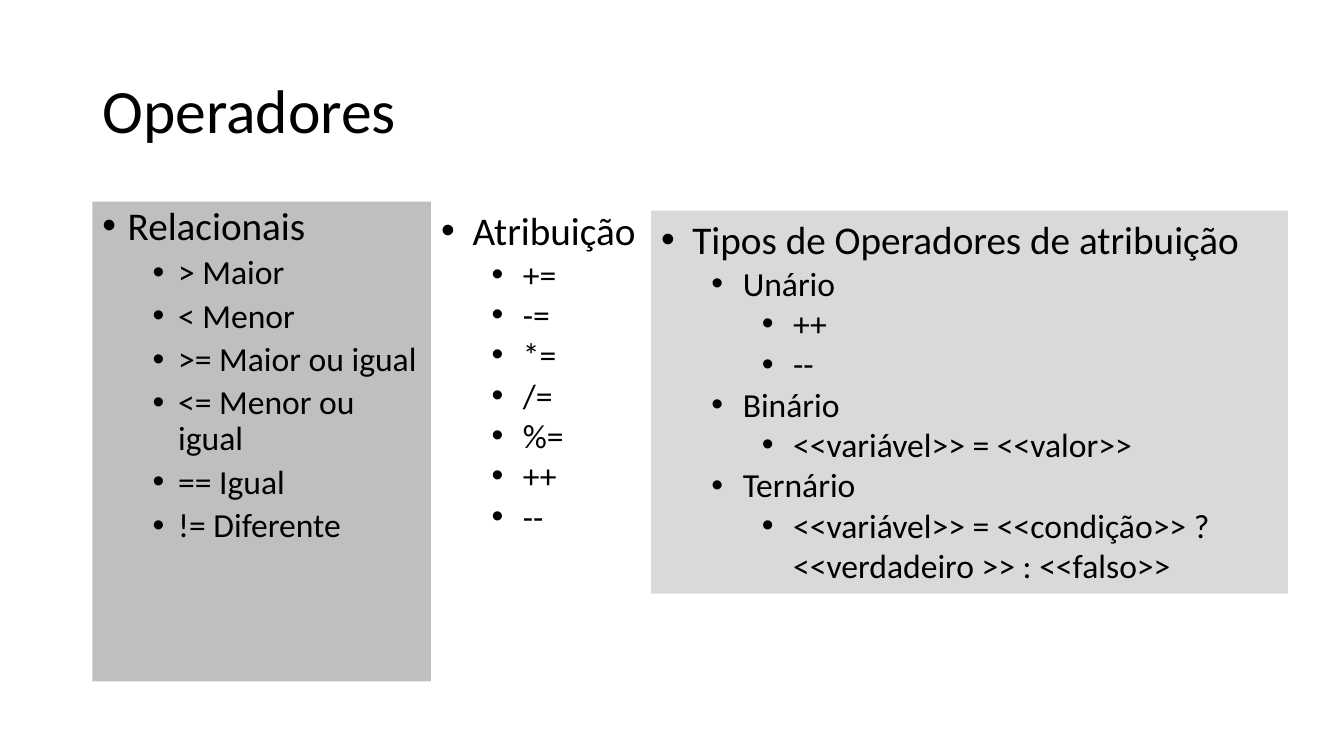
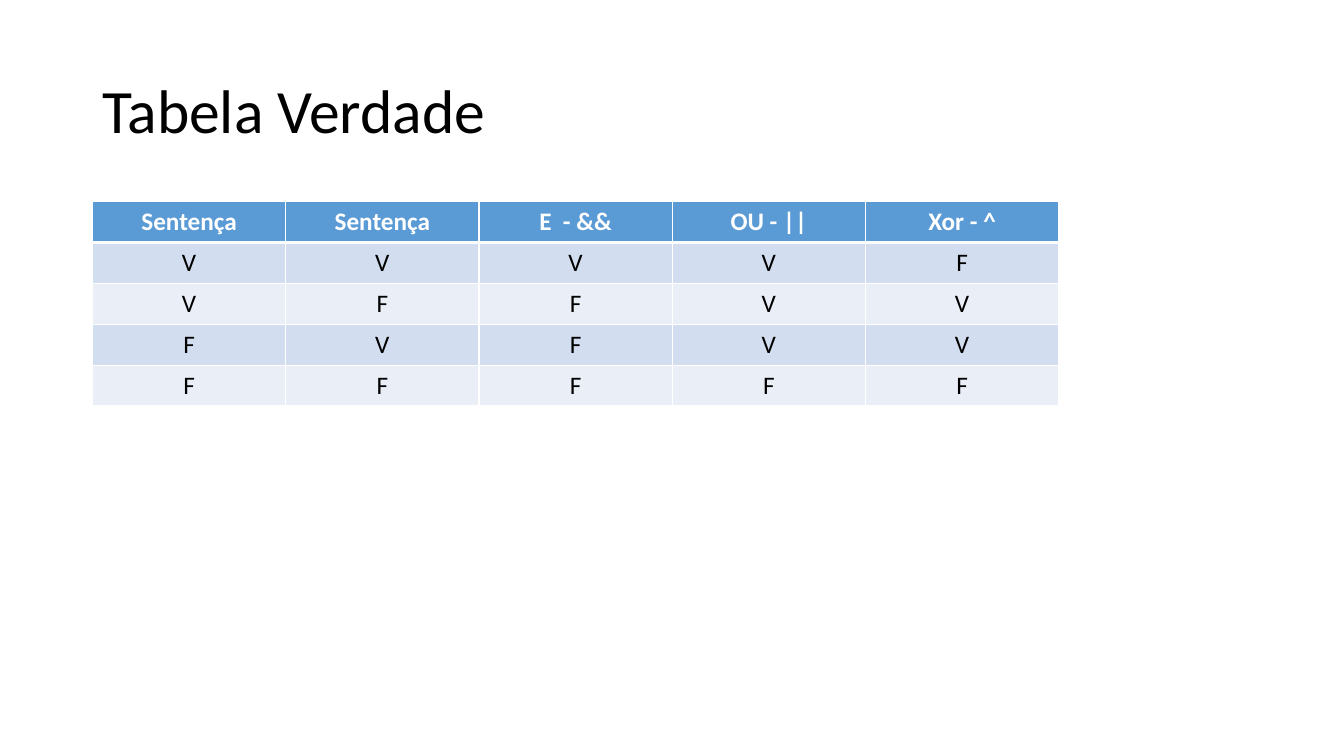
from pptx import Presentation
from pptx.dml.color import RGBColor
from pptx.enum.shapes import MSO_SHAPE
from pptx.enum.text import MSO_ANCHOR, PP_ALIGN
from pptx.oxml.ns import qn
from pptx.util import Cm, Pt
from lxml.etree import SubElement

FONT = "Calibri"
BLACK, WHITE = "000000", "FFFFFF"
DARK_GRAY, LIGHT_GRAY = "BFBFBF", "D9D9D9"
HEADER_BLUE, BANDS = "5B9BD5", ("D2DEEF", "EAEFF7")
LEFT, TOP = 2.33, 5.08
LEVEL_STEP = 1.27

RELATIONAL = [
    (0, "Relacionais"),
    (1, "> Maior"),
    (1, "< Menor"),
    (1, ">= Maior ou igual"),
    (1, "<= Menor ou igual"),
    (1, "== Igual"),
    (1, "!= Diferente"),
]
ASSIGNMENT = [(0, "Atribuição")] + [
    (1, sign) for sign in ("+=", "-=", "*=", "/=", "%=", "++", "--")
]
ASSIGNMENT_TYPES = [
    (0, "Tipos de Operadores de atribuição"),
    (1, "Unário"),
    (2, "++"),
    (2, "--"),
    (1, "Binário"),
    (2, "<<variável>> = <<valor>>"),
    (1, "Ternário"),
    (2, "<<variável>> = <<condição>> ? <<verdadeiro >> : <<falso>>"),
]
TRUTH_TABLE = [
    ("Sentença", "Sentença", "E  - &&", "OU - ||", "Xor - ^"),
    "VVVVF",
    "VFFVV",
    "FVFVV",
    "FFFFF",
]


def rgb(value):
    return RGBColor.from_string(value)


def write(p, text, size, color=BLACK, bold=False, align=PP_ALIGN.LEFT, spacing=None, before=0):
    p.alignment = align
    p.space_before = Pt(before)
    if spacing:
        p.line_spacing = spacing
    r = p.add_run()
    r.text = text
    r.font.name = FONT
    r.font.size = Pt(size)
    r.font.bold = bold
    r.font.color.rgb = rgb(color)


def add_bullet(p, level, hang):
    p.level = level
    pPr = p._p.get_or_add_pPr()
    pPr.set("marL", str(Cm(hang + level * LEVEL_STEP)))
    pPr.set("indent", str(Cm(-hang)))
    SubElement(pPr, qn("a:buFont"), typeface="Arial")
    SubElement(pPr, qn("a:buChar"), char="•")


def add_box(s, left, top, width, height, fill=None, anchor=MSO_ANCHOR.TOP):
    """Add a filled rectangle, or a plain text box without fill; return its text frame."""
    place = Cm(left), Cm(top), Cm(width), Cm(height)
    if fill:
        sp = s.shapes.add_shape(MSO_SHAPE.RECTANGLE, *place)
        sp.shadow.inherit = False
        sp.fill.solid()
        sp.fill.fore_color.rgb = rgb(fill)
        sp.line.fill.background()
    else:
        sp = s.shapes.add_textbox(*place)
    tf = sp.text_frame
    tf.word_wrap = True
    tf.vertical_anchor = anchor
    return tf


def add_titled_slide(prs, title):
    s = prs.slides.add_slide(prs.slide_layouts[6])
    tf = add_box(s, LEFT, 1.01, 29.21, 3.68, anchor=MSO_ANCHOR.MIDDLE)
    write(tf.paragraphs[0], title, 44, spacing=0.9)
    return s


def add_list(s, items, left, top, width, height, fill=None, hang=0.79, spacing=None, gaps=(0, 0)):
    """gaps holds the points before a heading and before an item."""
    tf = add_box(s, left, top, width, height, fill)
    for i, (level, text) in enumerate(items):
        p = tf.add_paragraph() if i else tf.paragraphs[0]
        size, before = (24, gaps[1]) if level else (28, gaps[0])
        write(p, text, size, spacing=spacing, before=before)
        add_bullet(p, level, hang)


def set_borders(cell, bottom):
    tcPr = cell._tc.get_or_add_tcPr()
    for side, width in (("L", 1), ("R", 1), ("T", 1), ("B", bottom)):
        ln = SubElement(tcPr, qn(f"a:ln{side}"), w=str(Pt(width)))
        fill = SubElement(ln, qn("a:solidFill"))
        SubElement(fill, qn("a:srgbClr"), val=WHITE)


def add_table(s, rows, left, top, col_width, row_height):
    n_rows, n_cols = len(rows), len(rows[0])
    table = s.shapes.add_table(
        n_rows, n_cols, Cm(left), Cm(top), Cm(col_width * n_cols), Cm(row_height * n_rows)
    ).table
    for col in table.columns:
        col.width = Cm(col_width)
    for i, values in enumerate(rows):
        header = i == 0
        table.rows[i].height = Cm(row_height)
        for cell, text in zip(table.rows[i].cells, values):
            set_borders(cell, 3 if header else 1)
            cell.fill.solid()
            cell.fill.fore_color.rgb = rgb(HEADER_BLUE if header else BANDS[(i - 1) % 2])
            write(cell.text_frame.paragraphs[0], text, 18, color=WHITE if header else BLACK,
                  bold=header, align=PP_ALIGN.CENTER)


def main():
    prs = Presentation()
    prs.slide_width, prs.slide_height = Cm(33.87), Cm(19.05)

    s = add_titled_slide(prs, "Operadores")
    add_list(s, RELATIONAL, LEFT, TOP, 8.53, 12.09, fill=DARK_GRAY,
             hang=0.64, spacing=0.9, gaps=(10, 5))
    add_list(s, ASSIGNMENT, 10.87, TOP, 5.54, 8.64)
    add_list(s, ASSIGNMENT_TYPES, 16.41, 5.31, 16.05, 9.65, fill=LIGHT_GRAY)

    s = add_titled_slide(prs, "Tabela Verdade")
    add_table(s, TRUTH_TABLE, LEFT, TOP, col_width=4.87, row_height=1.03)

    prs.save("out.pptx")


if __name__ == "__main__":
    main()
